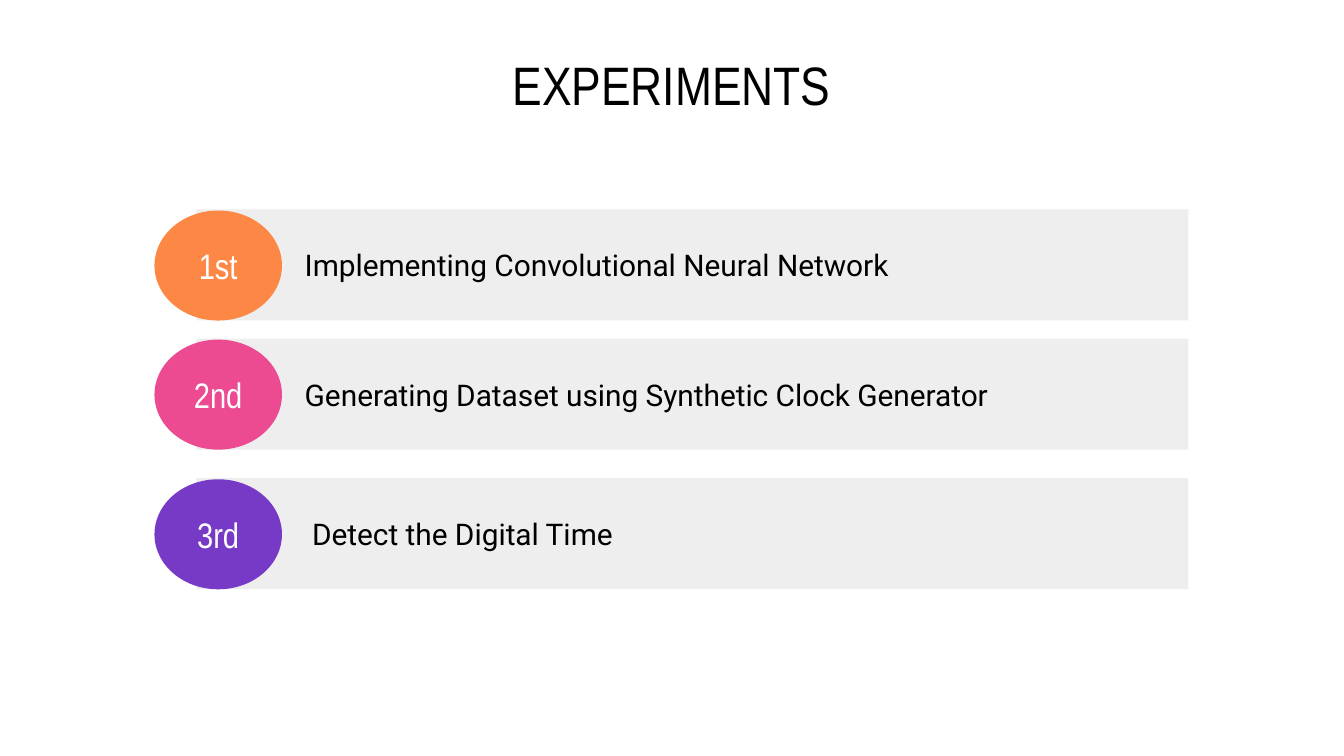
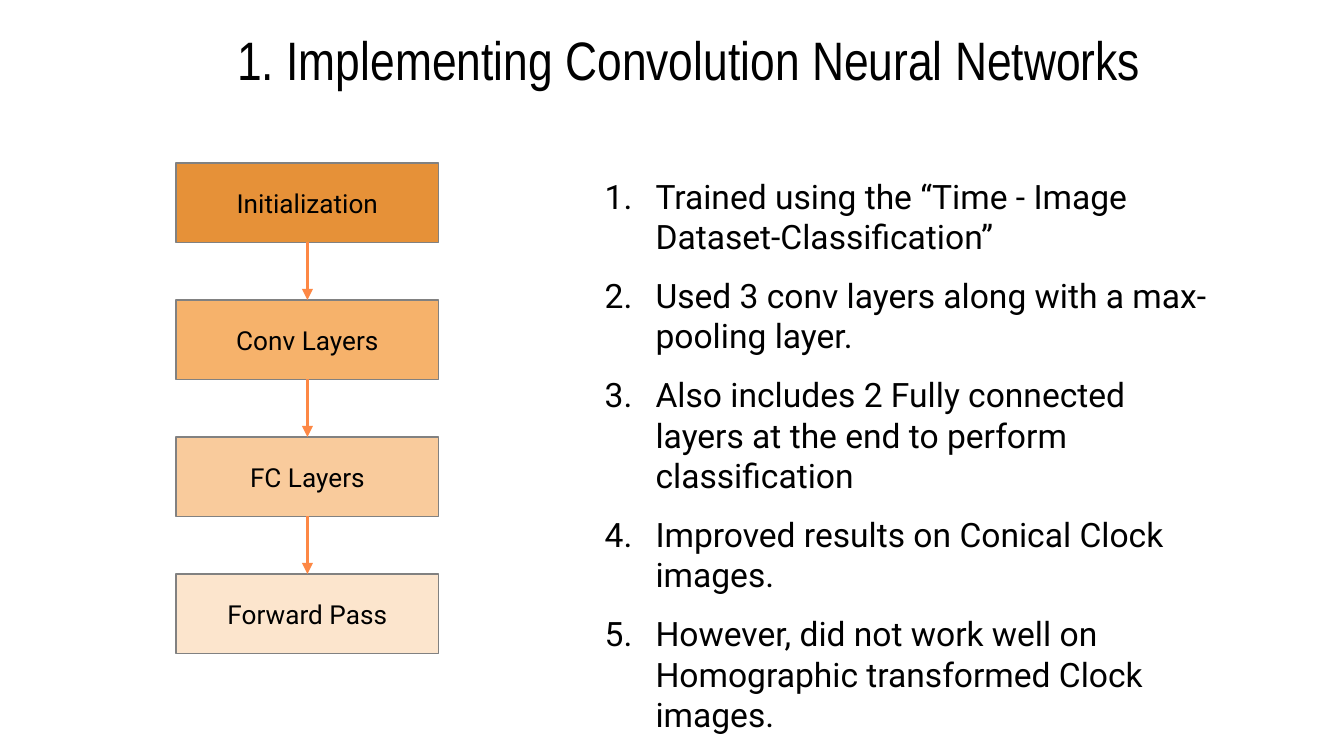
from dataclasses import dataclass

from lxml import etree
from pptx import Presentation
from pptx.dml import color
from pptx.enum import shapes, text
from pptx.oxml import ns
from pptx.util import Cm, Pt


@dataclass(frozen=True)
class Theme:
    heading_font: str = "Arial Narrow"
    body_font: str = "Roboto"
    title_size: float = 29
    ordinal_size: float = 19
    list_size: float = 18
    row_size: float = 16
    step_size: float = 14
    ink: str = "000000"
    paper: str = "FFFFFF"
    bar: str = "EEEEEE"
    border: str = "818181"
    orange: str = "FD8845"
    pink: str = "EC4A91"
    purple: str = "763AC7"
    step_fills: tuple = ("E69138", "F6B26B", "F9CB9C", "FCE5CD")


@dataclass(frozen=True)
class Box:
    left: float
    top: float
    width: float
    height: float

    def lengths(self):
        return Cm(self.left), Cm(self.top), Cm(self.width), Cm(self.height)


THEME = Theme()
INSET = 0.25


def rgb(value):
    return color.RGBColor.from_string(value)


def write(shape, lines, *, size, font=THEME.body_font, ink=THEME.ink,
          align=text.PP_ALIGN.CENTER, anchor=text.MSO_ANCHOR.MIDDLE,
          left_inset=INSET, gap=0, margin=0, indent=0, numbered=False):
    frame = shape.text_frame
    frame.word_wrap = True
    frame.vertical_anchor = anchor
    frame.margin_left = Cm(left_inset)
    frame.margin_top = frame.margin_right = frame.margin_bottom = Cm(INSET)
    for index, line in enumerate(lines):
        paragraph = frame.add_paragraph() if index else frame.paragraphs[0]
        paragraph.alignment = align
        paragraph.space_before = Pt(gap if index else 0)
        properties = paragraph._p.get_or_add_pPr()
        properties.set("marL", str(Cm(margin)))
        properties.set("indent", str(Cm(indent)))
        if numbered:
            numbering = etree.SubElement(properties, ns.qn("a:buAutoNum"))
            numbering.set("type", "arabicPeriod")
        run = paragraph.add_run()
        run.text = line
        run.font.name = font
        run.font.size = Pt(size)
        run.font.color.rgb = rgb(ink)


def add_block(slide, kind, box, fill, border=None):
    shape = slide.shapes.add_shape(kind, *box.lengths())
    shape.shadow.inherit = False
    shape.fill.solid()
    shape.fill.fore_color.rgb = rgb(fill)
    if border:
        shape.line.color.rgb = rgb(border)
        shape.line.width = Pt(0.75)
    else:
        shape.line.fill.background()
    return shape


def add_arrow(slide, upper, lower):
    arrow = slide.shapes.add_connector(shapes.MSO_CONNECTOR.STRAIGHT, 0, 0, 0, 0)
    arrow.begin_connect(upper, 2)
    arrow.end_connect(lower, 0)
    arrow.line.color.rgb = rgb(THEME.orange)
    arrow.line.width = Pt(1.5)
    head = etree.SubElement(arrow.line._get_or_add_ln(), ns.qn("a:tailEnd"))
    head.set("type", "triangle")
    etree.SubElement(arrow._element.spPr, ns.qn("a:effectLst"))


def add_title(slide, box, title, **options):
    shape = slide.shapes.add_textbox(*box.lengths())
    write(shape, [title], size=THEME.title_size, font=THEME.heading_font, **options)


def add_experiment(slide, box, ordinal, name, fill, left_inset):
    bar_offset = 0.79
    bar_box = Box(box.left + bar_offset, box.top, box.width - bar_offset, box.height)
    bar = add_block(slide, shapes.MSO_SHAPE.RECTANGLE, bar_box, THEME.bar)
    write(bar, [name], size=THEME.row_size, align=text.PP_ALIGN.LEFT,
          left_inset=left_inset)
    badge_box = Box(box.left, box.top + 0.02, 2.41, box.height - 0.02)
    badge = add_block(slide, shapes.MSO_SHAPE.OVAL, badge_box, fill)
    write(badge, [ordinal], size=THEME.ordinal_size, font=THEME.heading_font,
          ink=THEME.paper)


def add_flow(slide, box, steps):
    step_height = 1.5
    pitch = (box.height - step_height) / (len(steps) - 1)
    previous = None
    for index, (step, fill) in enumerate(zip(steps, THEME.step_fills)):
        step_box = Box(box.left, box.top + index * pitch, box.width, step_height)
        block = add_block(slide, shapes.MSO_SHAPE.RECTANGLE, step_box, fill, THEME.border)
        write(block, [step], size=THEME.step_size)
        if previous is not None:
            add_arrow(slide, previous, block)
        previous = block


def add_findings(slide, box, findings):
    shape = slide.shapes.add_textbox(*box.lengths())
    write(shape, findings, size=THEME.list_size, align=text.PP_ALIGN.LEFT,
          anchor=text.MSO_ANCHOR.TOP, gap=10, margin=1.27, indent=-0.96,
          numbered=True)


def build_experiments(slide):
    add_title(slide, Box(1.27, 1.19, 22.86, 0.79), "EXPERIMENTS")
    experiments = [
        (3.96, "1st", "Implementing Convolutional Neural Network", THEME.orange, 2.05),
        (6.4, "2nd", "Generating Dataset using Synthetic Clock Generator",
         THEME.pink, 2.05),
        (9.04, "3rd", "Detect the Digital Time", THEME.purple, 2.19),
    ]
    for top, *details in experiments:
        add_experiment(slide, Box(2.92, top, 19.54, 2.1), *details)


def build_network(slide):
    add_title(slide, Box(0, 0.25, 24.79, 1.75),
              "1. Implementing Convolution Neural Networks",
              anchor=text.MSO_ANCHOR.TOP, margin=1.27)
    add_flow(slide, Box(3.33, 3.08, 4.96, 9.27),
             ["Initialization", "Conv Layers", "FC Layers", "Forward Pass"])
    add_findings(slide, Box(10.87, 3.07, 12.37, 6.07), [
        "Trained using the “Time - Image Dataset-Classification”",
        "Used 3 conv layers along with a max-pooling layer.",
        "Also includes 2 Fully connected layers at the end to perform classification",
        "Improved results on Conical Clock images.",
        "However, did not work well on Homographic transformed Clock images.",
    ])


def main():
    presentation = Presentation()
    presentation.slide_width = Cm(25.4)
    presentation.slide_height = Cm(14.29)
    blank = presentation.slide_layouts[6]
    for build in (build_experiments, build_network):
        slide = presentation.slides.add_slide(blank)
        slide.background.fill.solid()
        slide.background.fill.fore_color.rgb = rgb(THEME.paper)
        build(slide)
    presentation.save("out.pptx")


if __name__ == "__main__":
    main()
